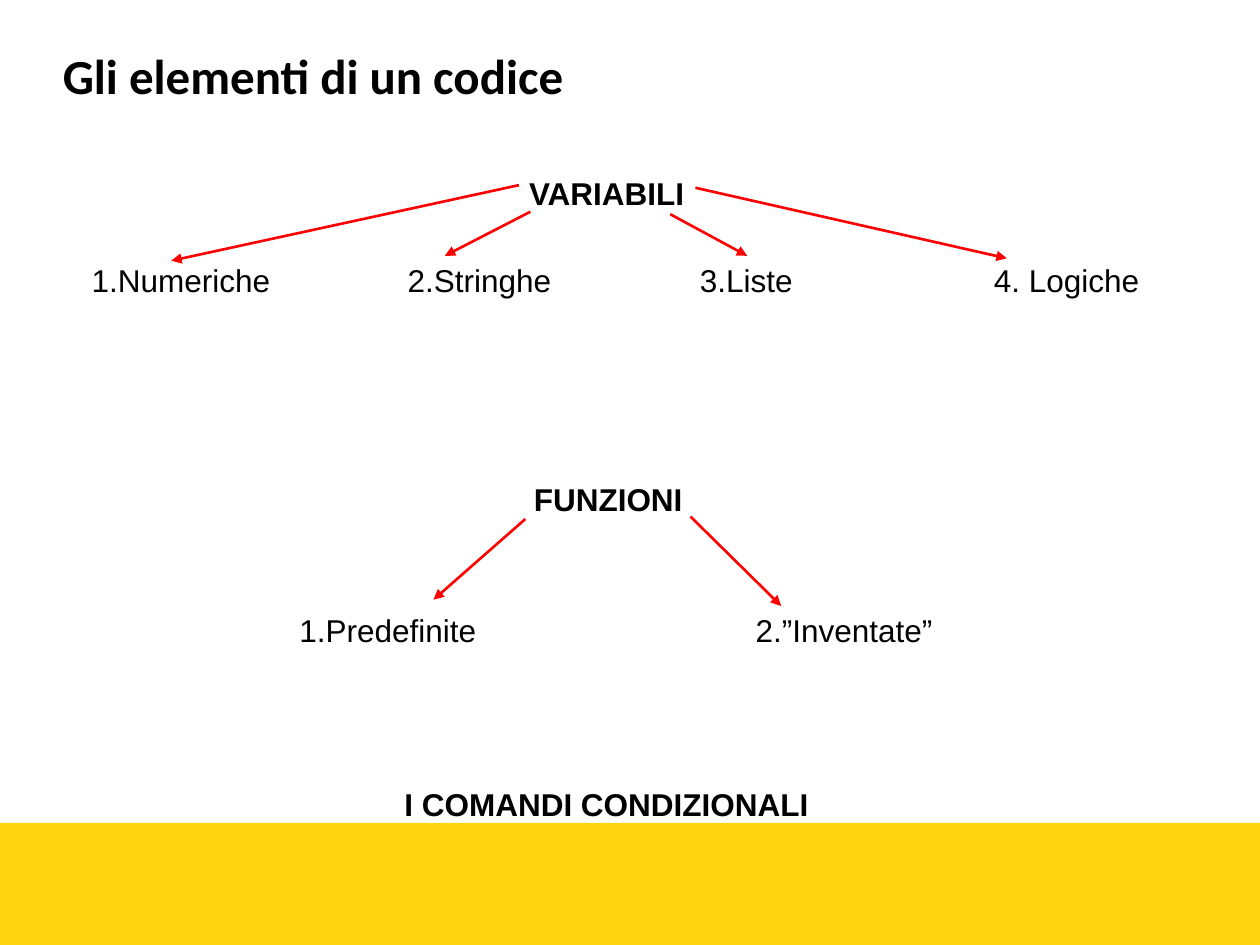
from lxml.etree import SubElement
from pptx import Presentation
from pptx.dml.color import RGBColor
from pptx.enum.shapes import MSO_CONNECTOR as Connector, MSO_SHAPE as Shape
from pptx.enum.text import PP_ALIGN as Align
from pptx.oxml.ns import qn
from pptx.util import Pt

BLACK = RGBColor(0x00, 0x00, 0x00)
RED = RGBColor(0xFF, 0x00, 0x00)
YELLOW = RGBColor(0xFF, 0xD4, 0x10)
INSET = 7.2

OUTLINE = [
    ("VARIABILI", 0, True, []),
    ("\t1.Numeriche\t2.Stringhe\t3.Liste\t4. Logiche", 25, False, [35.3, 215.8, 382.8, 550.8]),
    ("\tFUNZIONI", 100, True, [288]),
    ("\t1.Predefinite\t2.”Inventate”", 50, False, [154, 414.7]),
    ("I COMANDI CONDIZIONALI", 75, True, []),
]
ARROWS = [
    ((286.6, 16.8), (87.9, 60)),
    ((293.1, 32), (244.2, 57.2)),
    ((373, 33.4), (417, 57.2)),
    ((387.4, 18.3), (565.3, 58.6)),
    ((290.2, 207.6), (237.7, 253.7)),
    ((384.6, 206.2), (436.4, 257.3)),
]


def add_text_frame(page, box):
    """Add a wrapping text box with even insets and return its frame."""
    frame = page.shapes.add_textbox(*map(Pt, box)).text_frame
    frame.word_wrap = True
    frame.margin_left = frame.margin_right = Pt(INSET)
    frame.margin_top = frame.margin_bottom = Pt(INSET)
    return frame


def style_font(para, name, size, bold):
    """Set the font of a whole paragraph."""
    font = para.font
    font.name, font.size, font.bold = name, Pt(size), bold
    font.color.rgb = BLACK


def set_tab_stops(para, stops):
    """Give a paragraph left tab stops, placed before its default run properties."""
    properties = para._p.get_or_add_pPr()
    tabs = SubElement(properties, qn("a:tabLst"))
    for stop in stops:
        SubElement(tabs, qn("a:tab"), pos=str(Pt(stop)), algn="l")
    properties.find(qn("a:defRPr")).addprevious(tabs)


def add_arrow(page, start, end):
    """Draw a red arrow between two points."""
    arrow = page.shapes.add_connector(Connector.STRAIGHT, *map(Pt, start + end))
    arrow.line.color.rgb = RED
    arrow.line.width = Pt(1.5)
    SubElement(arrow.line._get_or_add_ln(), qn("a:tailEnd"), type="triangle")
    SubElement(arrow._element.spPr, qn("a:effectLst"))


def add_footer_band(page, box):
    """Draw the yellow band."""
    band = page.shapes.add_shape(Shape.RECTANGLE, *map(Pt, box))
    band.shadow.inherit = False
    band.fill.solid()
    band.fill.fore_color.rgb = YELLOW
    band.line.fill.background()


def add_title(page, box):
    """Write the slide title."""
    para = add_text_frame(page, box).paragraphs[0]
    para.text = "Gli elementi di un codice"
    style_font(para, "Calibri", 28, True)


def add_outline(page, box):
    """Write the code elements and link each heading to its kinds."""
    frame = add_text_frame(page, box)
    for index, (text, gap, bold, stops) in enumerate(OUTLINE):
        para = frame.add_paragraph() if index else frame.paragraphs[0]
        para.text = text
        para.alignment = Align.LEFT if stops else Align.CENTER
        para.line_spacing = 1.15
        para.space_before = Pt(gap)
        style_font(para, "Arial", 18, bold)
        if stops:
            set_tab_stops(para, stops)
    left, top = box[:2]
    for start, end in ARROWS:
        add_arrow(page, *((left + x, top + y) for x, y in (start, end)))


def main():
    """Build the slide and save the deck."""
    deck = Presentation()
    deck.slide_width, deck.slide_height = Pt(720), Pt(540)
    page = deck.slides.add_slide(deck.slide_layouts[6])
    add_footer_band(page, (0, 470.2, 720, 69.8))
    add_outline(page, (10, 89, 673.2, 432.7))
    add_title(page, (28.8, 18.7, 663, 48.2))
    deck.save("out.pptx")


if __name__ == "__main__":
    main()
